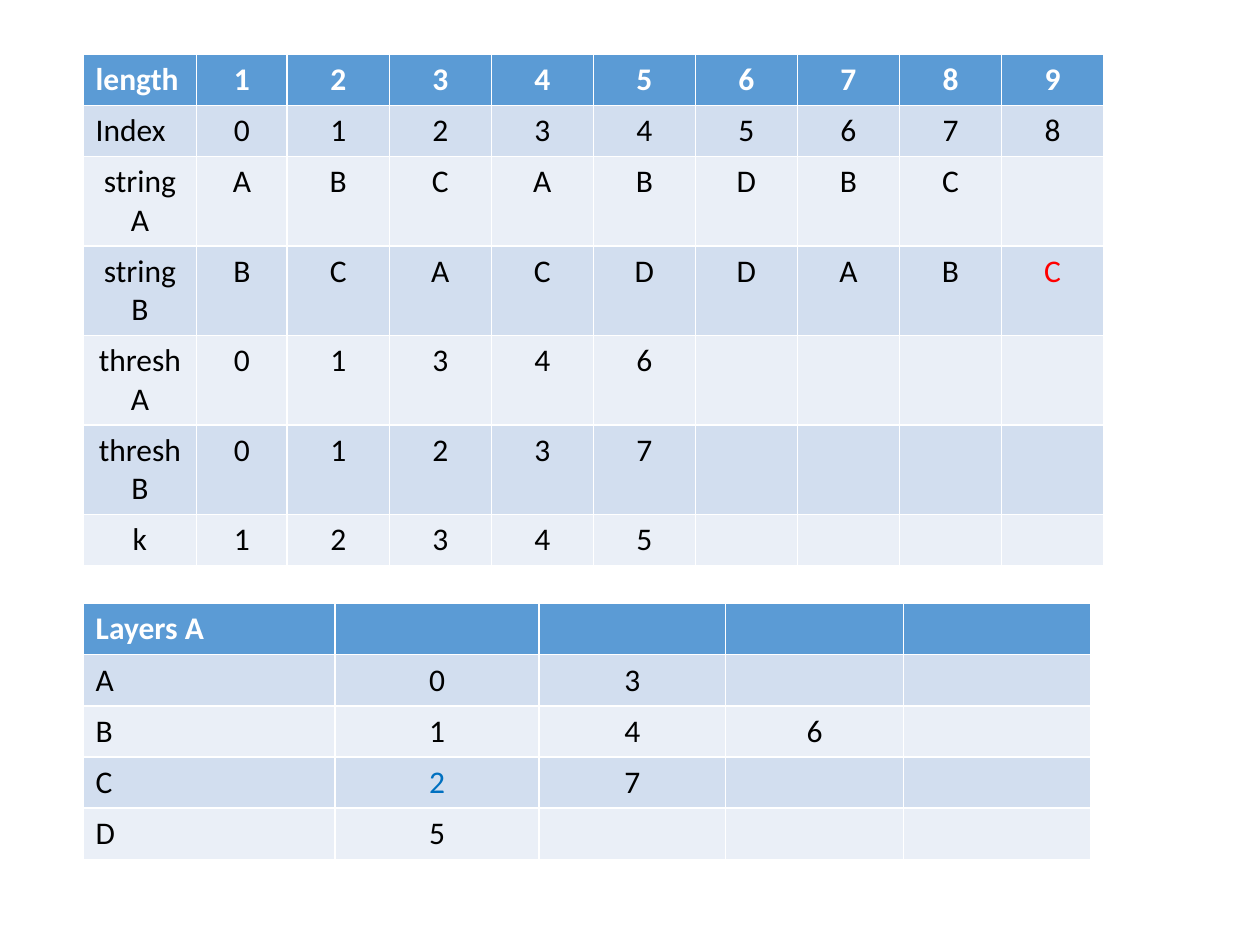
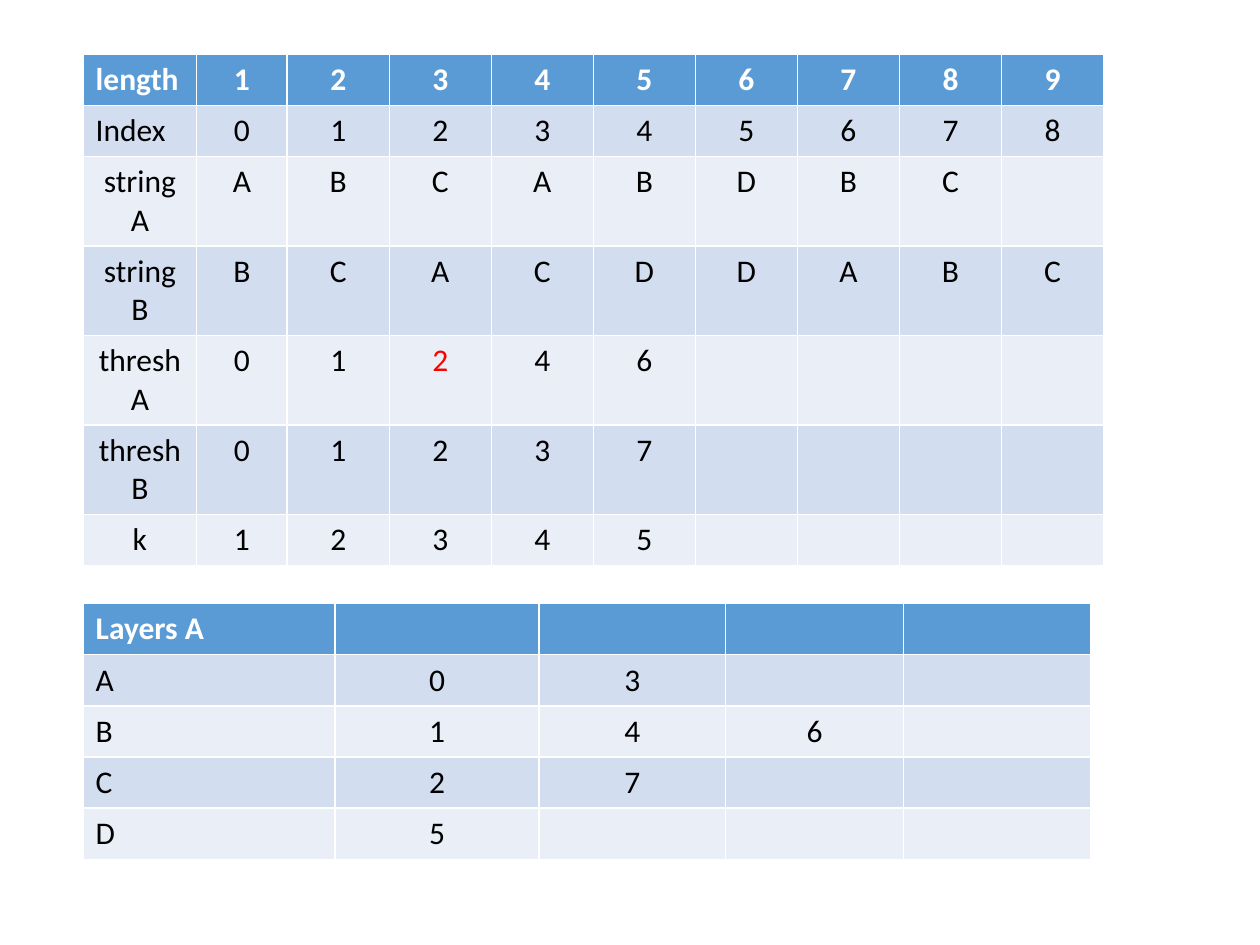
from pptx import Presentation
from pptx.dml.color import RGBColor
from pptx.enum.text import PP_ALIGN as Align
from pptx.util import Inches, Pt

# Shared look
HEADER_BLUE = RGBColor(0x5B, 0x9B, 0xD5)
BAND_DARK = RGBColor(0xD2, 0xDE, 0xEF)
BAND_LIGHT = RGBColor(0xEA, 0xEF, 0xF7)
WHITE = RGBColor(0xFF, 0xFF, 0xFF)
BLACK = RGBColor(0, 0, 0)
RED = RGBColor(0xFF, 0, 0)
BLUE = RGBColor(0, 0x70, 0xC0)
FONT = "Calibri"
TABLE_LEFT = 0.66

# Column widths in inches
STRING_WIDTHS = [0.9, 0.72] + [0.81] * 8
LAYER_WIDTHS = [2, 1.62, 1.48, 1.41, 1.49]

LAYER_ROWS = [["Layers A"], "A03", "B146", "C27", "D5"]


def string_rows(thresh_a):
    """Rows of the upper table, each a label followed by its values."""
    return [
        ["length", *"123456789"],
        ["Index", *"012345678"],
        ["stringA", *"ABCABDBC"],
        ["stringB", *"BCACDDABC"],
        ["threshA", *thresh_a],
        ["threshB", *"01237"],
        ["k", *"12345"],
    ]


def style_cell(cell, text, row, color, align):
    is_header = row == 0
    cell.fill.solid()
    cell.fill.fore_color.rgb = (
        HEADER_BLUE if is_header else BAND_DARK if row % 2 else BAND_LIGHT
    )
    cell.text = text
    paragraph = cell.text_frame.paragraphs[0]
    paragraph.alignment = align
    font = paragraph.font
    font.name = FONT
    font.size = Pt(18)
    font.bold = is_header
    font.color.rgb = WHITE if is_header else color


def add_banded_table(slide, top, height, widths, rows, left_labels, highlights):
    """Add a table; highlights maps (row, column) to a text colour."""
    frame = slide.shapes.add_table(
        len(rows), len(widths), Inches(TABLE_LEFT), Inches(top),
        Inches(sum(widths)), Inches(height),
    )
    table = frame.table
    for column, width in zip(table.columns, widths):
        column.width = Inches(width)
    for r, values in enumerate(rows):
        for c in range(len(widths)):
            text = values[c] if c < len(values) else ""
            align = Align.LEFT if c == 0 and r < left_labels else Align.CENTER
            color = highlights.get((r, c), BLACK)
            style_cell(table.cell(r, c), text, r, color, align)


def add_state_slide(presentation, thresh_a, string_marks, layer_marks):
    slide = presentation.slides.add_slide(presentation.slide_layouts[6])
    # Strings and thresholds: the two top labels are left-aligned
    add_banded_table(slide, 0.43, 2.84, STRING_WIDTHS, string_rows(thresh_a),
                     2, string_marks)
    # Positions of each letter in string A
    add_banded_table(slide, 4.79, 2.03, LAYER_WIDTHS, LAYER_ROWS,
                     len(LAYER_ROWS), layer_marks)


def main():
    presentation = Presentation()
    presentation.slide_width = Inches(10)
    presentation.slide_height = Inches(7.5)
    # Last C of string B is matched with index 2 in the layers
    add_state_slide(presentation, "01346", {(3, 9): RED}, {(3, 1): BLUE})
    # The third threshold drops to 2
    add_state_slide(presentation, "01246", {(4, 3): RED}, {})
    presentation.save("out.pptx")


if __name__ == "__main__":
    main()
